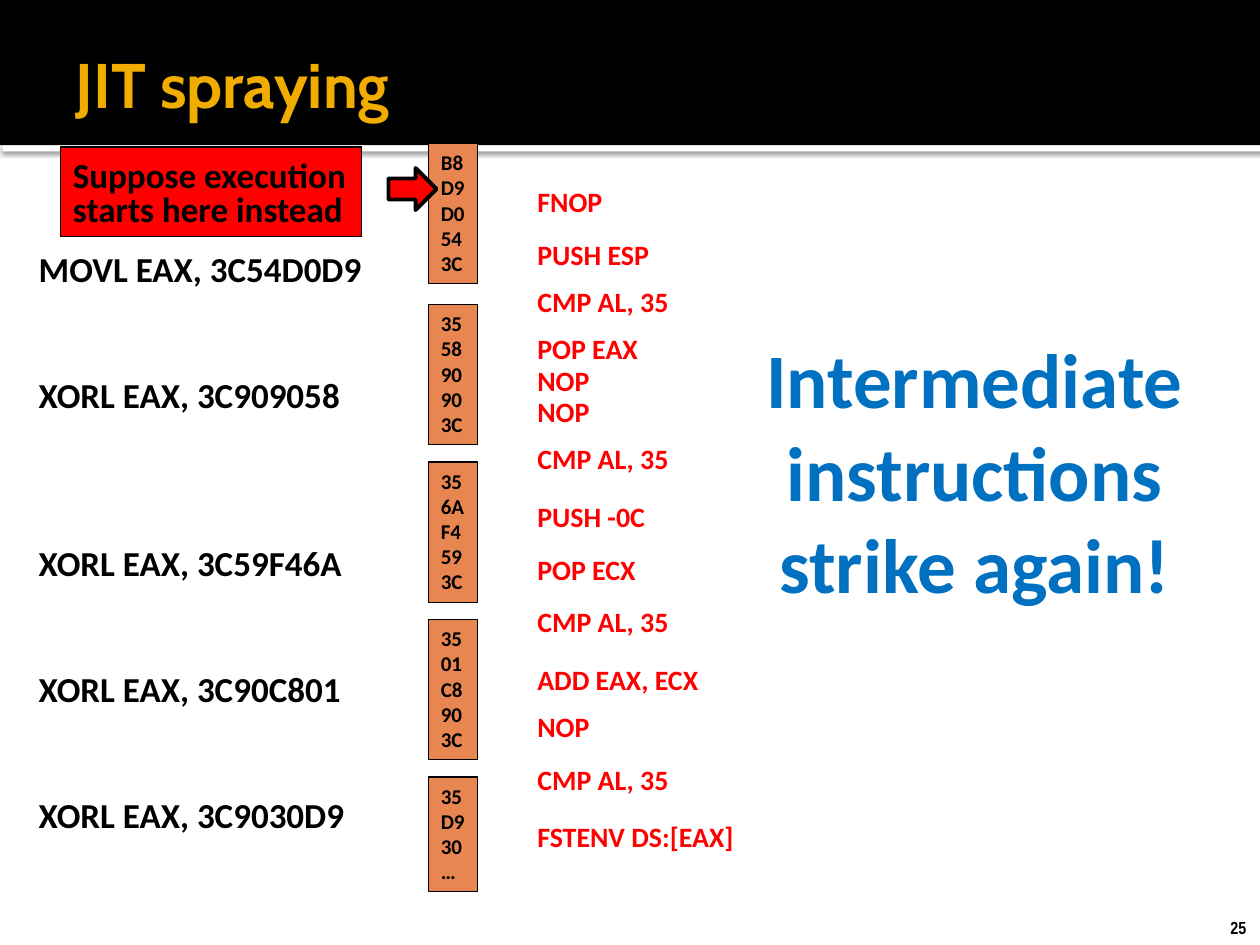
import lxml.etree
import pptx
import pptx.util
import pptx.dml.color
import pptx.enum.shapes
import pptx.enum.text
import pptx.oxml.ns
from dataclasses import dataclass

Pt = pptx.util.Pt
Align = pptx.enum.text.PP_ALIGN
Anchor = pptx.enum.text.MSO_ANCHOR
Fit = pptx.enum.text.MSO_AUTO_SIZE
Kind = pptx.enum.shapes.MSO_SHAPE


@dataclass(frozen=True)
class Theme:
    black: str = "000000"
    white: str = "FFFFFF"
    gold: str = "F0AD00"
    orange: str = "E88651"
    red: str = "FF0000"
    blue: str = "0070C0"
    head: str = "Cabin"
    body: str = "Calibri"
    small: str = "Arial Narrow"
    title: int = 36
    claim: int = 44
    code: int = 20
    step: int = 16
    byte: int = 12
    page: int = 10


def rgb(code):
    return pptx.dml.color.RGBColor.from_string(code)


def write(frame, text, size, color, font, align=Align.LEFT, wrap=False,
          fit=Fit.SHAPE_TO_FIT_TEXT, anchor=Anchor.TOP, gaps=(), lead=()):
    """Fill a frame, one paragraph a line; gaps and lead hold each one's space before and line spacing."""
    frame.text = text
    frame.word_wrap = wrap
    frame.auto_size = fit
    frame.vertical_anchor = anchor
    for para in frame.paragraphs:
        para.alignment = align
        para.font.size = Pt(size)
        para.font.name = font
        para.font.bold = True
        para.font.color.rgb = rgb(color)
    for para, gap in zip(frame.paragraphs, gaps):
        para.space_before = Pt(gap)
    for para, space in zip(frame.paragraphs, lead):
        para.line_spacing = space


class Deck:
    def __init__(self, theme):
        self.theme = theme
        self.file = pptx.Presentation()
        self.file.slide_width, self.file.slide_height = Pt(720), Pt(540)
        self.slide = self.file.slides.add_slide(self.file.slide_layouts[5])

    def shape(self, kind, box, fill, line=None):
        item = self.slide.shapes.add_shape(kind, *map(Pt, box))
        item.shadow.inherit = False
        item.fill.solid()
        item.fill.fore_color.rgb = rgb(fill)
        if line:
            item.line.color.rgb = rgb(self.theme.black)
            item.line.width = Pt(line)
        else:
            item.line.fill.background()
        return item

    def shade(self, item):
        """Cast a soft shadow straight down."""
        tag = pptx.oxml.ns.qn
        effects = item.element.spPr.find(tag("a:effectLst"))
        cast = lxml.etree.SubElement(
            effects, tag("a:outerShdw"), blurRad=str(Pt(2.5)),
            dist=str(Pt(0.8)), dir="5400000", rotWithShape="0")
        color = lxml.etree.SubElement(cast, tag("a:srgbClr"), val=self.theme.black)
        lxml.etree.SubElement(color, tag("a:alpha"), val="60000")

    def title(self, text, box):
        item = self.slide.shapes.title
        item.left, item.top, item.width, item.height = map(Pt, box)
        write(item.text_frame, text, self.theme.title, self.theme.gold,
              self.theme.head, wrap=True, fit=Fit.NONE, anchor=Anchor.MIDDLE)
        item.text_frame.margin_right = Pt(3.6)
        # Lift the title above the band drawn behind it.
        self.slide.shapes.element.append(item.element)

    def text(self, text, box, size, color, font=None, **style):
        item = self.slide.shapes.add_textbox(*map(Pt, box))
        write(item.text_frame, text, size, color, font or self.theme.body, **style)

    def panel(self, text, box, fill, size, **style):
        item = self.shape(Kind.RECTANGLE, box, fill, line=0.75)
        write(item.text_frame, text, size, self.theme.black, self.theme.body, **style)


def main():
    look = Theme()
    deck = Deck(look)

    deck.shade(deck.shape(Kind.RECTANGLE, (1.5, 83, 720, 3.6), look.white))
    deck.shape(Kind.RECTANGLE, (0, 0, 720, 83), look.black)
    deck.text("25", (696, 520.5, 24.5, 19.5), look.page, look.black, look.small)
    deck.title("JIT spraying", (36, 12, 648, 71))

    blocks = [
        (82, "B8 D9 D0 54 3C"),
        (174, "35 58 90 90 3C"),
        (264, "35 6A F4 59 3C"),
        (354, "35 01 C8 90 3C"),
        (444, "35 D9 30 …"),
    ]
    for top, codes in blocks:
        codes = codes.split()
        high = 7.2 + 14.6 * len(codes)
        deck.panel("\n".join(codes), (244.8, top, 28, high), look.orange, look.byte)

    moves = ["MOVL EAX, 3C54D0D9", "XORL EAX, 3C909058", "XORL EAX, 3C59F46A",
             "XORL EAX, 3C90C801", "XORL EAX, 3C9030D9"]
    deck.text("\n".join(moves), (15, 138, 212, 346), look.code, look.black,
              wrap=True, gaps=(0, 48, 72, 48, 48))

    deck.panel("Suppose execution\nstarts here instead", (34.6, 84, 172, 51),
               look.red, look.code, lead=(1, 0.8))
    deck.shape(Kind.RIGHT_ARROW, (222, 96, 27.5, 24), look.red, line=2.25)

    steps = [
        (102, "FNOP"), (132, "PUSH ESP"), (159, "CMP AL, 35"),
        (186, "POP EAX"), (204, "NOP"), (222, "NOP"), (249, "CMP AL, 35"),
        (282, "PUSH -0C"), (312, "POP ECX"), (342, "CMP AL, 35"),
        (375, "ADD EAX, ECX"), (402, "NOP"), (432, "CMP AL, 35"),
        (465, "FSTENV DS:[EAX]"),
    ]
    wide = {"FNOP": 54, "PUSH ESP": 79, "CMP AL, 35": 91, "POP EAX": 73,
            "NOP": 46, "PUSH -0C": 77, "POP ECX": 71, "ADD EAX, ECX": 108,
            "FSTENV DS:[EAX]": 128}
    for top, step in steps:
        deck.text(step, (300, top, wide[step], 26.6), look.step, look.red)

    deck.text("Intermediate instructions strike again!", (420, 186, 274, 151),
              look.claim, look.blue, align=Align.CENTER, wrap=True, fit=Fit.NONE)

    deck.file.save("out.pptx")


if __name__ == "__main__":
    main()
